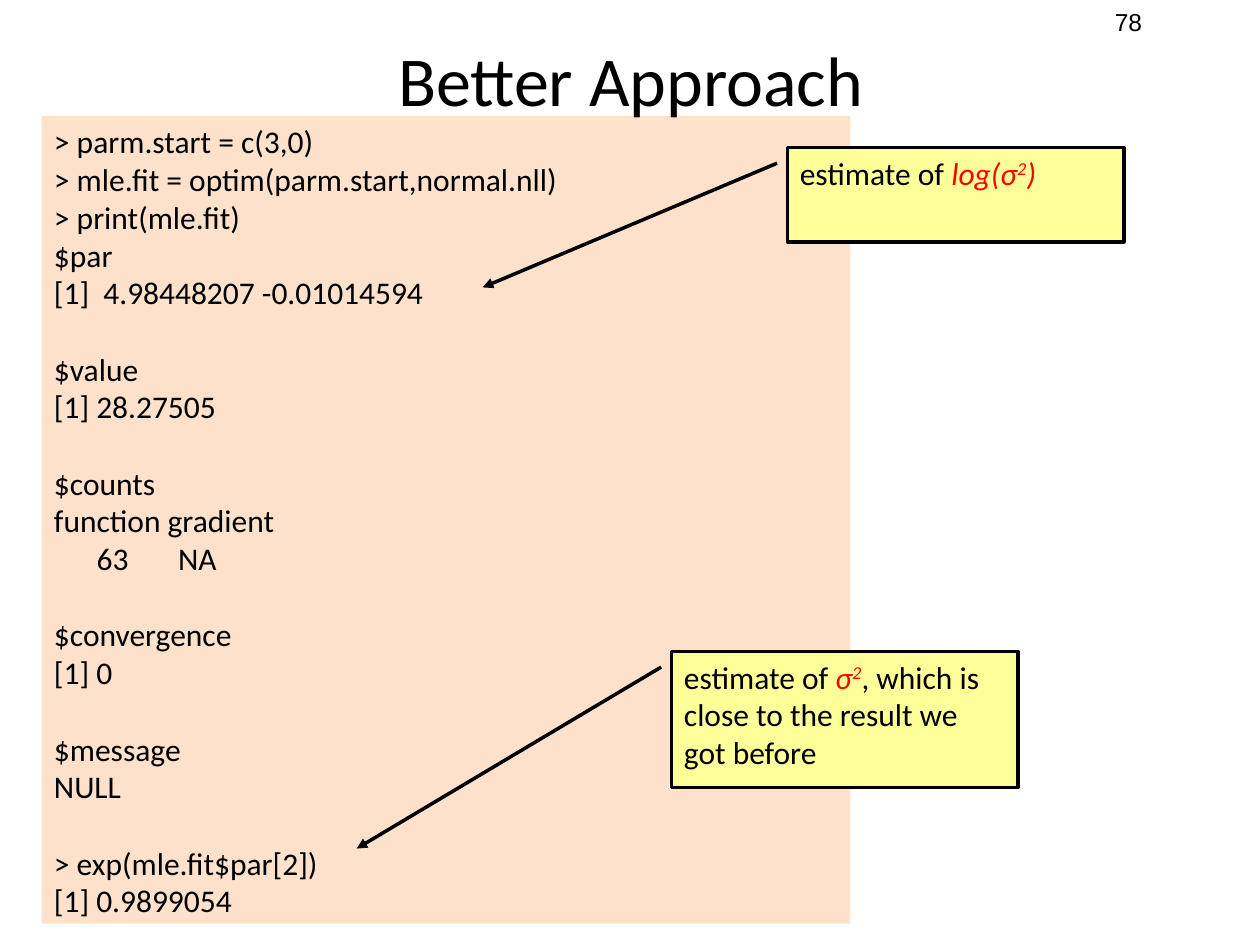
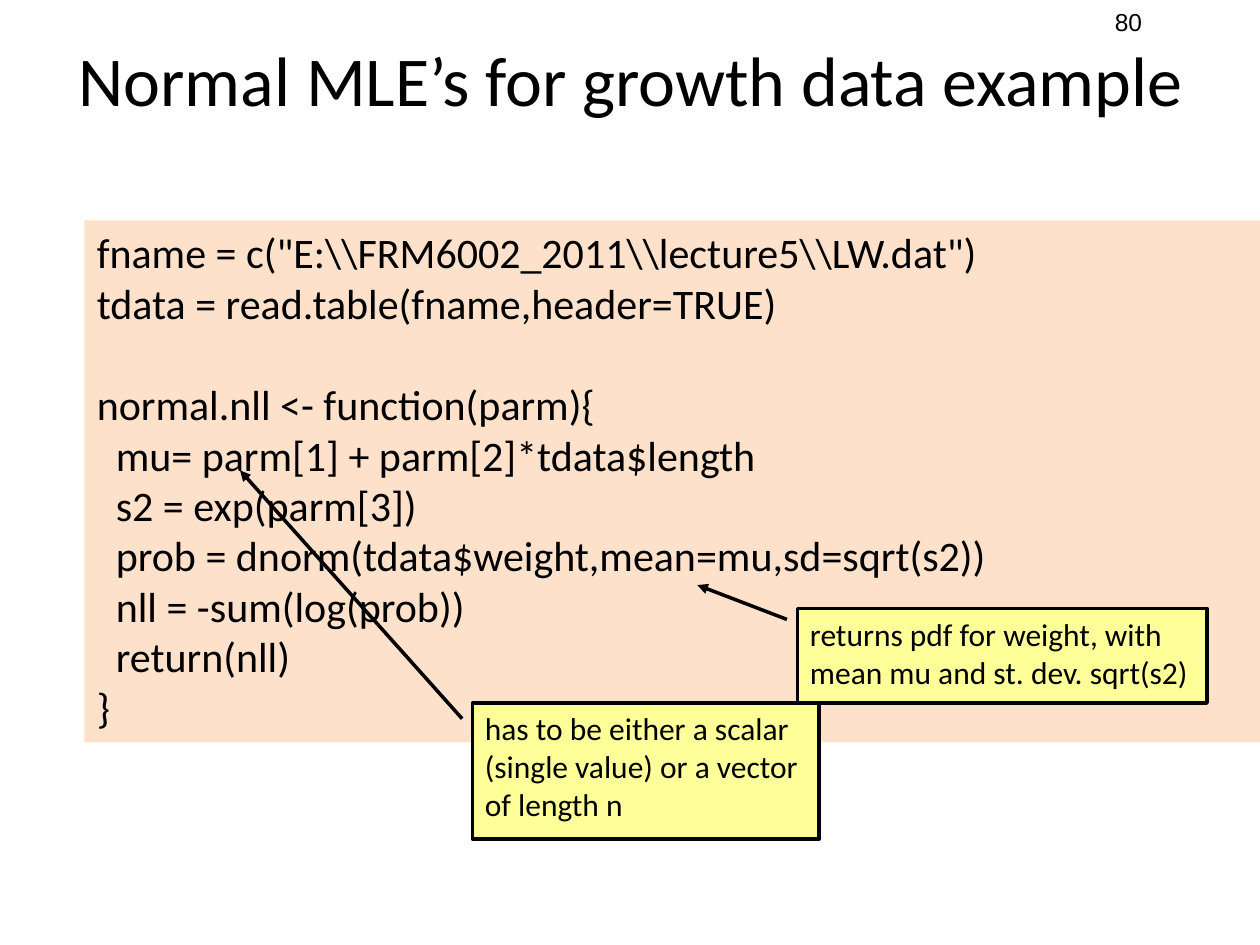
import pptx
import pptx.dml.color
import pptx.enum.shapes
import pptx.enum.text
import pptx.oxml.ns
import pptx.util
from lxml import etree

Inches = pptx.util.Inches
Pt = pptx.util.Pt
SHAPES = pptx.enum.shapes.MSO_SHAPE
TEXT = pptx.enum.text

BLACK = "000000"
RED = "FF0000"
CODE_FILL = "FDE1CA"
NOTE_FILL = "FFFF99"
LINE_HEIGHT = 1.22
EMPHASIS = {"color": RED, "italic": True}
SUPERSCRIPT = {"color": RED, "italic": True, "baseline": 30000}


def hex_color(value):
    return pptx.dml.color.RGBColor.from_string(value)


def add_text(paragraph, text, size=18, font="Calibri", color=BLACK, italic=False, baseline=0):
    run = paragraph.add_run()
    run.text = text
    run.font.size = Pt(size)
    run.font.name = font
    run.font.color.rgb = hex_color(color)
    run.font.italic = italic
    if baseline:
        run.font._element.set("baseline", str(baseline))


fit_code = """> parm.start = c(3,0)
> mle.fit = optim(parm.start,normal.nll)
> print(mle.fit)
$par
[1]  4.98448207 -0.01014594

$value
[1] 28.27505

$counts
function gradient
      63       NA

$convergence
[1] 0

$message
NULL

> exp(mle.fit$par[2])
[1] 0.9899054"""

growth_code = r"""fname = c("E:\\FRM6002_2011\\lecture5\\LW.dat")
tdata = read.table(fname,header=TRUE)

normal.nll <- function(parm){
  mu= parm[1] + parm[2]*tdata$length
  s2 = exp(parm[3])
  prob = dnorm(tdata$weight,mean=mu,sd=sqrt(s2))
  nll = -sum(log(prob))
  return(nll)
}"""

slides = [
    {
        "number": "78",
        "title": "Better Approach",
        "code": fit_code,
        "code_size": 18,
        "code_box": (0.33, 0.92, 6.42, 6.41),
        "callouts": [
            ((6.25, 1.17, 2.67, 0.75), (0.167, -0.031, 1.481, -0.906),
             [("estimate of ", {}), ("log(σ", EMPHASIS), ("2", SUPERSCRIPT), (")", EMPHASIS)]),
            ((5.33, 5.17, 2.75, 1.08), (0.115, -0.03, 1.449, -0.909),
             [("estimate of ", {}), ("σ", EMPHASIS), ("2", SUPERSCRIPT),
              (", which is close to the result we got before", {})]),
        ],
    },
    {
        "number": "80",
        "title": "Normal MLE’s for growth data example",
        "code": growth_code,
        "code_size": 24,
        "code_box": (0.67, 1.75, 9.33, 4.14),
        "callouts": [
            ((3.75, 5.58, 2.75, 1.08), (0.115, -0.03, -1.71, -0.671),
             [("has to be either a scalar (single value) or a vector of length n", {})]),
            ((6.33, 4.83, 3.25, 0.75), (0.115, -0.026, -0.249, -0.245),
             [("returns pdf for weight, with mean mu and st. dev. sqrt(s2)", {})]),
        ],
    },
]

presentation = pptx.Presentation()
presentation.slide_width = Inches(10)
presentation.slide_height = Inches(7.5)

for content in slides:
    slide = presentation.slides.add_slide(presentation.slide_layouts[5])

    number = slide.shapes.add_textbox(Inches(8.75), Inches(0.01), Inches(1), Inches(0.34))
    number.text_frame.word_wrap = True
    add_text(number.text_frame.paragraphs[0], content["number"], size=14, font="Arial")

    code_box = slide.shapes.add_shape(SHAPES.RECTANGLE, *map(Inches, content["code_box"]))
    code_box.shadow.inherit = False
    code_box.fill.solid()
    code_box.fill.fore_color.rgb = hex_color(CODE_FILL)
    code_box.line.fill.background()
    code_frame = code_box.text_frame
    code_frame.word_wrap = True
    code_frame.vertical_anchor = TEXT.MSO_ANCHOR.TOP
    paragraph = code_frame.paragraphs[0]
    for block_index, block in enumerate(content["code"].split("\n\n")):
        for line_index, line in enumerate(block.split("\n")):
            if block_index or line_index:
                paragraph = code_frame.add_paragraph()
            if block_index and line_index == 0:
                paragraph.space_before = Pt(content["code_size"] * LINE_HEIGHT)
            paragraph.alignment = TEXT.PP_ALIGN.LEFT
            add_text(paragraph, line, size=content["code_size"])

    title = slide.shapes.title
    title.left, title.top, title.width, title.height = map(Inches, (0.51, 0.17, 8.99, 0.91))
    title.text_frame.auto_size = TEXT.MSO_AUTO_SIZE.NONE
    title.text_frame.vertical_anchor = TEXT.MSO_ANCHOR.MIDDLE
    title.text_frame.paragraphs[0].alignment = TEXT.PP_ALIGN.CENTER
    add_text(title.text_frame.paragraphs[0], content["title"], size=40)
    slide.shapes._spTree.append(title._element)

    for box, pointer, runs in content["callouts"]:
        callout = slide.shapes.add_shape(SHAPES.LINE_CALLOUT_1, *map(Inches, box))
        for index, value in enumerate(pointer):
            callout.adjustments[index] = value
        callout.shadow.inherit = False
        callout.fill.solid()
        callout.fill.fore_color.rgb = hex_color(NOTE_FILL)
        callout.line.color.rgb = hex_color(BLACK)
        callout.line.width = Pt(2)
        outline = callout.line._get_or_add_ln()
        etree.SubElement(outline, pptx.oxml.ns.qn("a:tailEnd"), type="triangle")
        callout.text_frame.word_wrap = True
        callout.text_frame.vertical_anchor = TEXT.MSO_ANCHOR.TOP
        paragraph = callout.text_frame.paragraphs[0]
        paragraph.alignment = TEXT.PP_ALIGN.LEFT
        for text, style in runs:
            add_text(paragraph, text, **style)

presentation.save("out.pptx")
